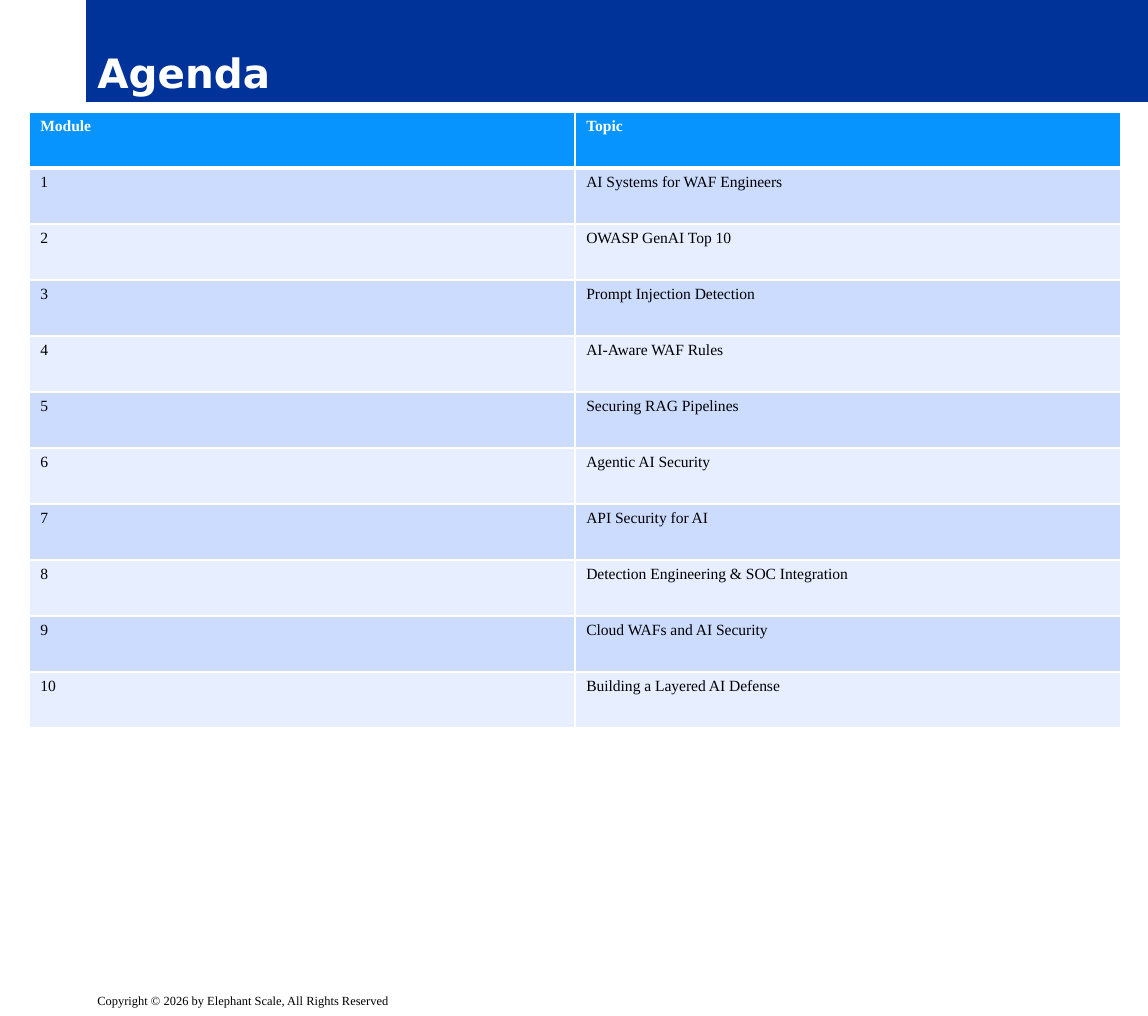
from lxml.etree import SubElement
from pptx import Presentation
from pptx.dml.color import RGBColor
from pptx.enum.text import MSO_ANCHOR, MSO_AUTO_SIZE, PP_ALIGN
from pptx.oxml.ns import qn
from pptx.util import Inches, Pt

TITLE = "Agenda"
HEADINGS = ("Module", "Topic")
TOPICS = [
    "AI Systems for WAF Engineers",
    "OWASP GenAI Top 10",
    "Prompt Injection Detection",
    "AI-Aware WAF Rules",
    "Securing RAG Pipelines",
    "Agentic AI Security",
    "API Security for AI",
    "Detection Engineering & SOC Integration",
    "Cloud WAFs and AI Security",
    "Building a Layered AI Defense",
]
COPYRIGHT = "Copyright © 2026 by Elephant Scale, All Rights Reserved"

COLORS = {
    "banner": "003399",
    "header": "0794FF",
    "odd": "CCDCFF",
    "even": "E7EEFF",
    "white": "FFFFFF",
    "black": "000000",
}
FORMATS = {
    "title": {"name": "DejaVu Sans", "size": Pt(26), "bold": True},
    "header": {"name": "Times New Roman", "size": Pt(10), "bold": True},
    "body": {"name": "Times New Roman", "size": Pt(10), "bold": False},
    "footer": {"name": "Times New Roman", "size": Pt(8), "bold": False},
}
SLIDE_WIDTH, SLIDE_HEIGHT = 10.25, 9.07
BANNER_LEFT, BANNER_HEIGHT = 0.77, 0.91
TABLE_LEFT, TABLE_TOP, TABLE_WIDTH, ROW_HEIGHT = 0.26, 1, 9.75, 0.5
FOOTER_HEIGHT = 0.25


def color(name):
    return RGBColor.from_string(COLORS[name])


def write(text_frame, text, style, color_name):
    text_frame.text = text
    paragraph = text_frame.paragraphs[0]
    paragraph.alignment = PP_ALIGN.LEFT
    font = paragraph.runs[0].font
    for attribute, value in FORMATS[style].items():
        setattr(font, attribute, value)
    font.color.rgb = color(color_name)


def place(shape, left, top, width, height):
    shape.left, shape.top = Inches(left), Inches(top)
    shape.width, shape.height = Inches(width), Inches(height)


def add_borders(cell, widths):
    properties = cell._tc.get_or_add_tcPr()
    for side, width in widths.items():
        line = SubElement(properties, qn(f"a:ln{side}"), w=str(Pt(width)))
        fill = SubElement(line, qn("a:solidFill"))
        SubElement(fill, qn("a:srgbClr"), val=COLORS["white"])


def add_title(slide):
    title = slide.shapes.title
    place(title, BANNER_LEFT, 0, SLIDE_WIDTH - BANNER_LEFT, BANNER_HEIGHT)
    title.fill.solid()
    title.fill.fore_color.rgb = color("banner")
    title.text_frame.auto_size = MSO_AUTO_SIZE.NONE
    title.text_frame.vertical_anchor = MSO_ANCHOR.BOTTOM
    write(title.text_frame, TITLE, "title", "white")


def add_agenda(slide):
    rows = [HEADINGS] + [(str(n), topic) for n, topic in enumerate(TOPICS, 1)]
    frame = slide.shapes.add_table(
        len(rows), len(HEADINGS), Inches(TABLE_LEFT), Inches(TABLE_TOP),
        Inches(TABLE_WIDTH), Inches(ROW_HEIGHT * len(rows)))
    for row_index, row in enumerate(rows):
        is_header = row_index == 0
        band = "header" if is_header else "odd" if row_index % 2 else "even"
        borders = {"L": 1, "R": 1, "T": 3 if row_index == 1 else 1,
                   "B": 3 if is_header else 1}
        for column_index, text in enumerate(row):
            cell = frame.table.cell(row_index, column_index)
            add_borders(cell, borders)
            cell.fill.solid()
            cell.fill.fore_color.rgb = color(band)
            write(cell.text_frame, text, "header" if is_header else "body",
                  "white" if is_header else "black")


def add_footer(slide):
    footer = slide.shapes.add_textbox(
        Inches(BANNER_LEFT), Inches(SLIDE_HEIGHT - FOOTER_HEIGHT),
        Inches(TABLE_WIDTH), Inches(FOOTER_HEIGHT))
    footer.text_frame.word_wrap = True
    write(footer.text_frame, COPYRIGHT, "footer", "black")


def main():
    presentation = Presentation()
    presentation.slide_width = Inches(SLIDE_WIDTH)
    presentation.slide_height = Inches(SLIDE_HEIGHT)
    slide = presentation.slides.add_slide(presentation.slide_layouts[5])
    add_title(slide)
    add_footer(slide)
    add_agenda(slide)
    presentation.save("out.pptx")


if __name__ == "__main__":
    main()
